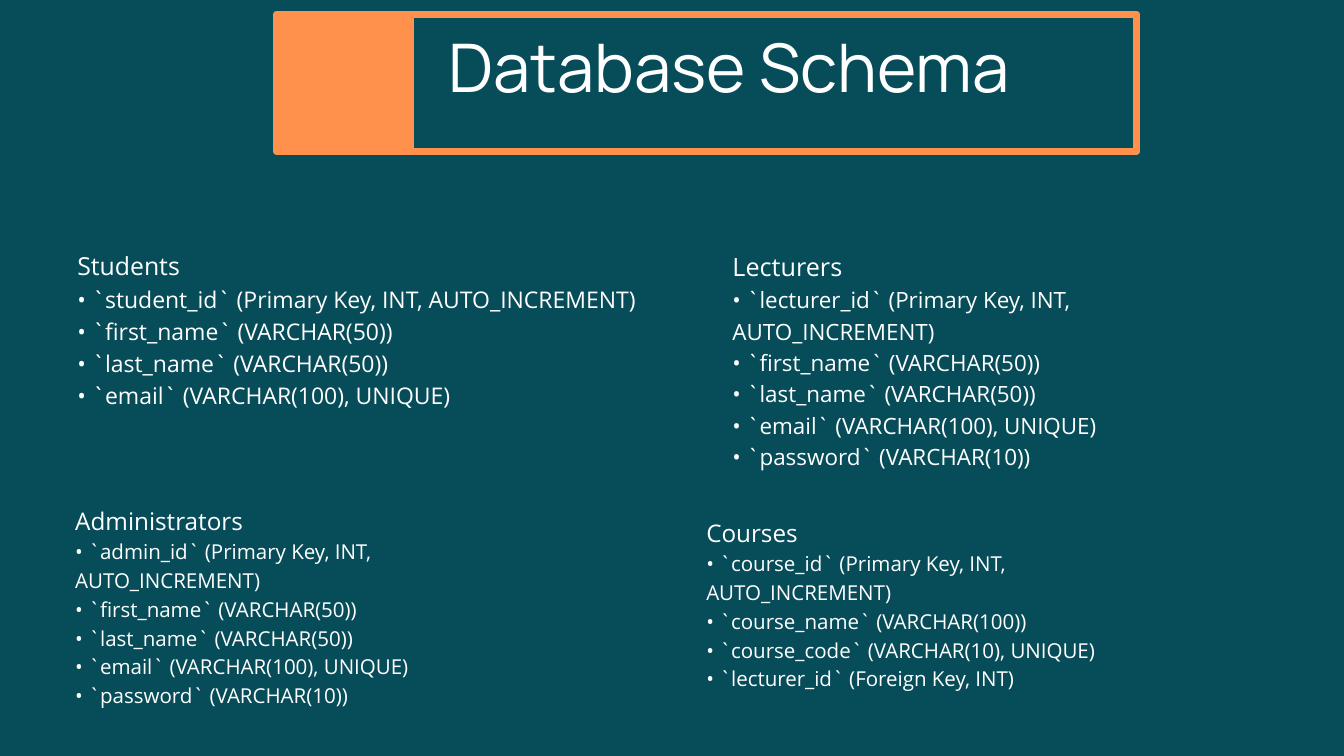
from pptx import Presentation
from pptx import util as u
from pptx.dml import color
from pptx.enum import shapes, text

WIDTH, HEIGHT = u.Inches(20), u.Inches(11.25)
TEAL, ORANGE, WHITE = "074C59", "FF914D", "FFFFFF"
LEADING = 1.4

SCHEMA = [
    ("Students", (5.75, 32.53, 44.25, 21.16), 26.6, 24.6, [
        "`student_id` (Primary Key, INT, AUTO_INCREMENT)",
        "`first_name` (VARCHAR(50))",
        "`last_name` (VARCHAR(50))",
        "`email` (VARCHAR(100), UNIQUE)",
    ]),
    ("Lecturers", (54.5, 32.62, 39.85, 24.8), 27, 24, [
        "`lecturer_id` (Primary Key, INT, AUTO_INCREMENT)",
        "`first_name` (VARCHAR(50))",
        "`last_name` (VARCHAR(50))",
        "`email` (VARCHAR(100), UNIQUE)",
        "`password` (VARCHAR(10))",
    ]),
    ("Administrators", (5.6, 66.31, 35.5, 27.2), 26, 22, [
        "`admin_id` (Primary Key, INT, AUTO_INCREMENT)",
        "`first_name` (VARCHAR(50))",
        "`last_name` (VARCHAR(50))",
        "`email` (VARCHAR(100), UNIQUE)",
        "`password` (VARCHAR(10))",
    ]),
    ("Courses", (52.55, 67.89, 35.75, 19.47), 26, 22, [
        "`course_id` (Primary Key, INT, AUTO_INCREMENT)",
        "`course_name` (VARCHAR(100))",
        "`course_code` (VARCHAR(10), UNIQUE)",
        "`lecturer_id` (Foreign Key, INT)",
    ]),
]


def paint(target, hex_color):
    target.solid()
    target.fore_color.rgb = color.RGBColor.from_string(hex_color)


def percent_box(left, top, width, height):
    return (int(WIDTH * left / 100), int(HEIGHT * top / 100),
            int(WIDTH * width / 100), int(HEIGHT * height / 100))


def add_rectangle(slide, box):
    rectangle = slide.shapes.add_shape(shapes.MSO_SHAPE.RECTANGLE, *box)
    rectangle.shadow.inherit = False
    return rectangle


def add_lines(slide, box, lines, font_name):
    frame = slide.shapes.add_textbox(*box).text_frame
    frame.word_wrap = True
    frame.vertical_anchor = text.MSO_ANCHOR.TOP
    frame.margin_left = frame.margin_right = frame.margin_top = frame.margin_bottom = 0
    for index, (wording, size, spacing) in enumerate(lines):
        paragraph = frame.add_paragraph() if index else frame.paragraphs[0]
        paragraph.line_spacing = u.Pt(spacing)
        run = paragraph.add_run()
        run.text = wording
        run.font.name = font_name
        run.font.size = u.Pt(size)
        paint(run.font.fill, WHITE)


def add_banner(slide, box, title):
    left, top, width, height = box
    border = add_rectangle(slide, box)
    border.fill.background()
    paint(border.line.fill, ORANGE)
    border.line.width = u.Pt(7.5)

    accent = add_rectangle(slide, (left, top, int(width * 0.16), height))
    paint(accent.fill, ORANGE)
    accent.line.fill.background()

    title_box = (left + int(width * 0.2), top + int(height * 0.235),
                 int(width * 0.77), int(height * 0.5))
    add_lines(slide, title_box, [(title, 71.8, 63.9)], "Manrope")


def add_entity(slide, box, entity, heading_size, field_size, fields):
    lines = [(entity, heading_size, round(heading_size * LEADING, 1))]
    lines += [(f"• {field}", field_size, round(field_size * LEADING, 1)) for field in fields]
    add_lines(slide, box, lines, "Open Sans")


def main():
    deck = Presentation()
    deck.slide_width, deck.slide_height = WIDTH, HEIGHT
    slide = deck.slides.add_slide(deck.slide_layouts[6])
    paint(slide.background.fill, TEAL)
    add_banner(slide, percent_box(20.55, 1.87, 64.05, 18.13), "Database Schema")
    for entity, shares, heading_size, field_size, fields in SCHEMA:
        add_entity(slide, percent_box(*shares), entity, heading_size, field_size, fields)
    deck.save("out.pptx")


if __name__ == "__main__":
    main()
